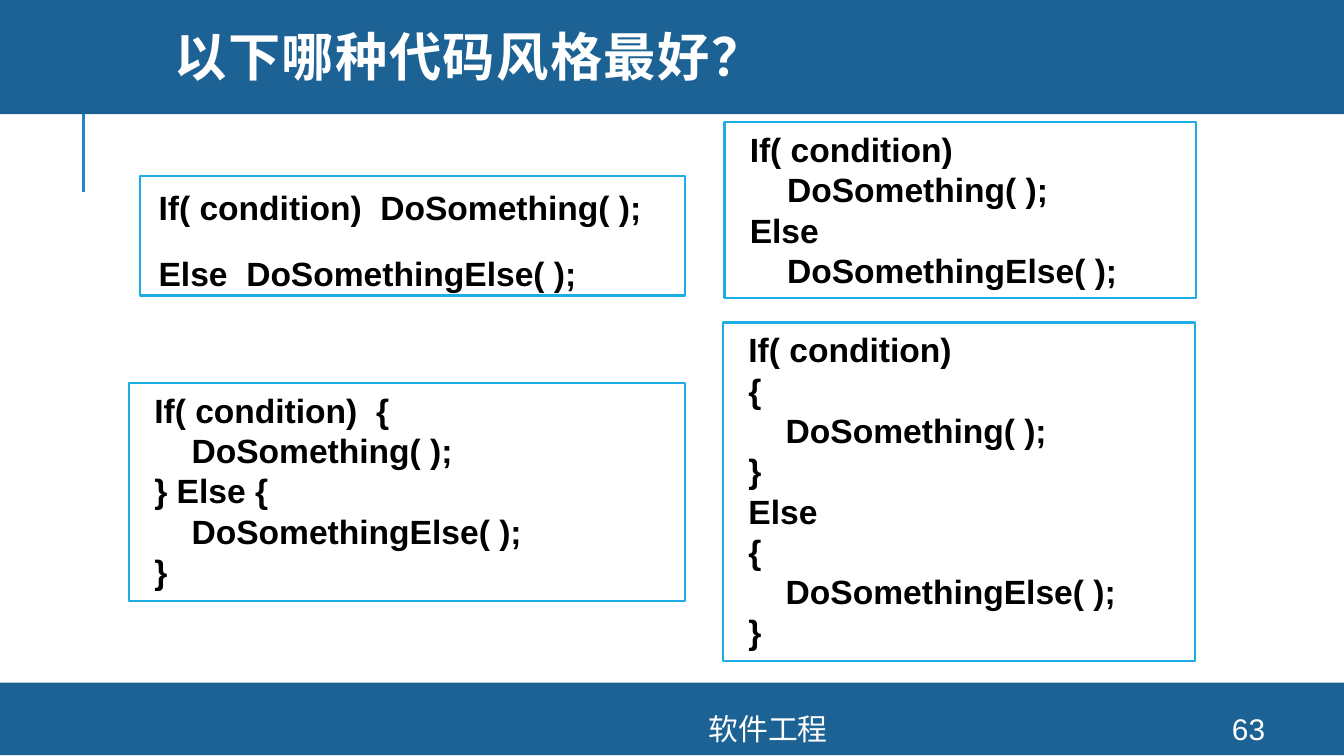
from lxml.etree import SubElement
from pptx import Presentation
from pptx.dml.color import RGBColor
from pptx.enum.shapes import MSO_CONNECTOR, MSO_SHAPE
from pptx.enum.text import MSO_ANCHOR, MSO_AUTO_SIZE, PP_ALIGN
from pptx.oxml.ns import qn
from pptx.util import Inches, Pt

# Content
TITLE = "以下哪种代码风格最好？"
BANDS = [(0, 5.08, 10, 0.54), (0, -0.03, 10, 0.88)]
FOOTERS = [("软件工程", (2.61, 5.31, 6.21, 0.23)), ("63", (8.89, 5.31, 0.8, 0.23))]

SPACED = {"line_spacing": 1.1, "alignment": PP_ALIGN.JUSTIFY}
CODE_BOXES = [
    {"at": (1.04, 1.31, 4.06, 0.89), "inset": 0.05, "gap": 12, "format": SPACED,
     "lines": ["If( condition)  DoSomething( );",
               "Else  DoSomethingElse( );"]},
    {"at": (0.96, 2.85, 4.14, 1.62),
     "lines": ["If( condition)  {",
               "    DoSomething( );",
               "} Else {",
               "    DoSomethingElse( );",
               "}"]},
    {"at": (5.38, 2.4, 3.51, 2.52),
     "lines": ["If( condition)",
               "{",
               "    DoSomething( );",
               "}",
               "Else",
               "{",
               "    DoSomethingElse( );",
               "}"]},
    {"at": (5.39, 0.91, 3.51, 1.31),
     "lines": ["If( condition)",
               "    DoSomething( );",
               "Else",
               "    DoSomethingElse( );"]},
]

# Formats
SLIDE_WIDTH = Inches(10)
SLIDE_HEIGHT = SLIDE_WIDTH * 9 // 16
BLUE, RULE_BLUE, CYAN, WHITE, BLACK = "1D6294", "2683C6", "1CADE4", "FFFFFF", "000000"
TITLE_FONT = {"name": "Montserrat", "size": Pt(28), "bold": True}
FOOTER_FONT = {"name": "Arial", "size": Pt(16), "bold": False}
CODE_FONT = {"name": "Arial", "size": Pt(18), "bold": True}


def color(hex_value):
    return RGBColor.from_string(hex_value)


def apply(target, values):
    for name, value in values.items():
        setattr(target, name, value)


def inches(box):
    return [Inches(value) for value in box]


def set_font(run, values, hex_value):
    apply(run.font, values)
    run.font.color.rgb = color(hex_value)


def add_box(shapes, at, fill, line=None):
    box = shapes.add_shape(MSO_SHAPE.RECTANGLE, *inches(at))
    box.shadow.inherit = False
    box.fill.solid()
    box.fill.fore_color.rgb = color(fill)
    if line:
        box.line.color.rgb = color(line)
        box.line.width = Pt(1.25)
    else:
        box.line.fill.background()
    return box


def add_code(shapes, at, lines, inset=None, gap=0, format=None):
    frame = add_box(shapes, at, WHITE, CYAN).text_frame
    apply(frame, {"word_wrap": True, "vertical_anchor": MSO_ANCHOR.TOP})
    if inset:
        sides = ("left", "top", "right", "bottom")
        apply(frame, {f"margin_{side}": Inches(inset) for side in sides})
    else:
        frame.auto_size = MSO_AUTO_SIZE.SHAPE_TO_FIT_TEXT
    for index, code in enumerate(lines):
        paragraph = frame.add_paragraph() if index else frame.paragraphs[0]
        apply(paragraph, {"alignment": PP_ALIGN.LEFT, **(format or {})})
        if index and gap:
            paragraph.space_before = Pt(gap)
        paragraph._p.get_or_add_pPr().set("marL", str(Inches(0.09)))
        run = paragraph.add_run()
        run.text = code
        set_font(run, CODE_FONT, BLACK)


def main():
    deck = Presentation()
    apply(deck, {"slide_width": SLIDE_WIDTH, "slide_height": SLIDE_HEIGHT})
    slide = deck.slides.add_slide(deck.slide_layouts[5])
    shapes = slide.shapes

    # Rule and bands
    rule = shapes.add_connector(MSO_CONNECTOR.STRAIGHT, *inches((0.62, 1.43, 0.62, 0.68)))
    rule.line.color.rgb = color(RULE_BLUE)
    rule.line.width = Pt(1.5)
    SubElement(rule._element.spPr, qn("a:effectLst"))
    for band in BANDS:
        add_box(shapes, band, BLUE)

    # Title, brought in front of the bands
    title = shapes.title
    shapes._spTree.append(title._element)
    apply(title, dict(zip(("left", "top", "width", "height"), inches((1.2, 0, 8.49, 0.91)))))
    apply(title.text_frame, {"text": TITLE, "word_wrap": True,
                             "auto_size": MSO_AUTO_SIZE.NONE,
                             "vertical_anchor": MSO_ANCHOR.MIDDLE})
    heading = title.text_frame.paragraphs[0]
    apply(heading, {"alignment": PP_ALIGN.LEFT, "line_spacing": 0.8})
    set_font(heading.runs[0], TITLE_FONT, WHITE)
    heading.runs[0].font._element.set("spc", "80")

    # Footer
    for text, at in FOOTERS:
        frame = shapes.add_textbox(*inches(at)).text_frame
        apply(frame, {"text": text, "word_wrap": True, "vertical_anchor": MSO_ANCHOR.MIDDLE})
        frame.paragraphs[0].alignment = PP_ALIGN.CENTER
        set_font(frame.paragraphs[0].runs[0], FOOTER_FONT, WHITE)

    # Code samples
    for sample in CODE_BOXES:
        add_code(shapes, **sample)

    deck.save("out.pptx")


if __name__ == "__main__":
    main()
